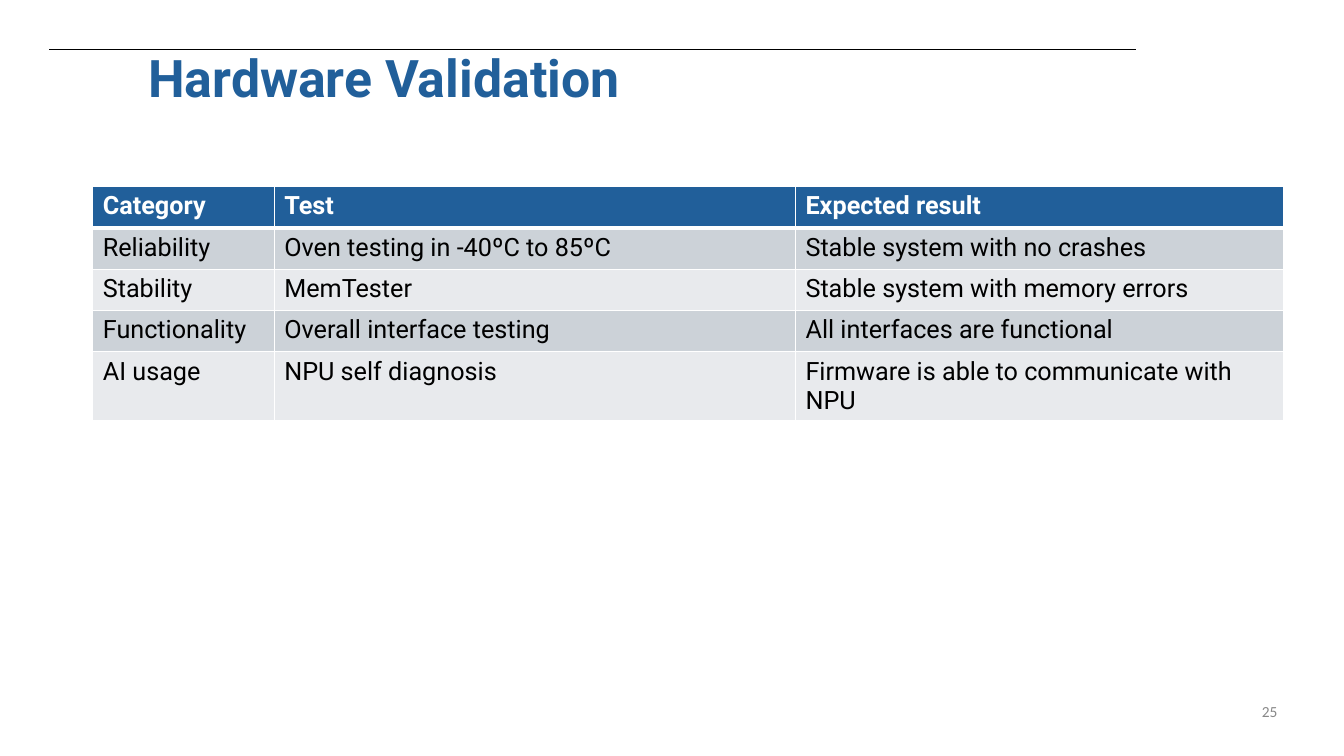
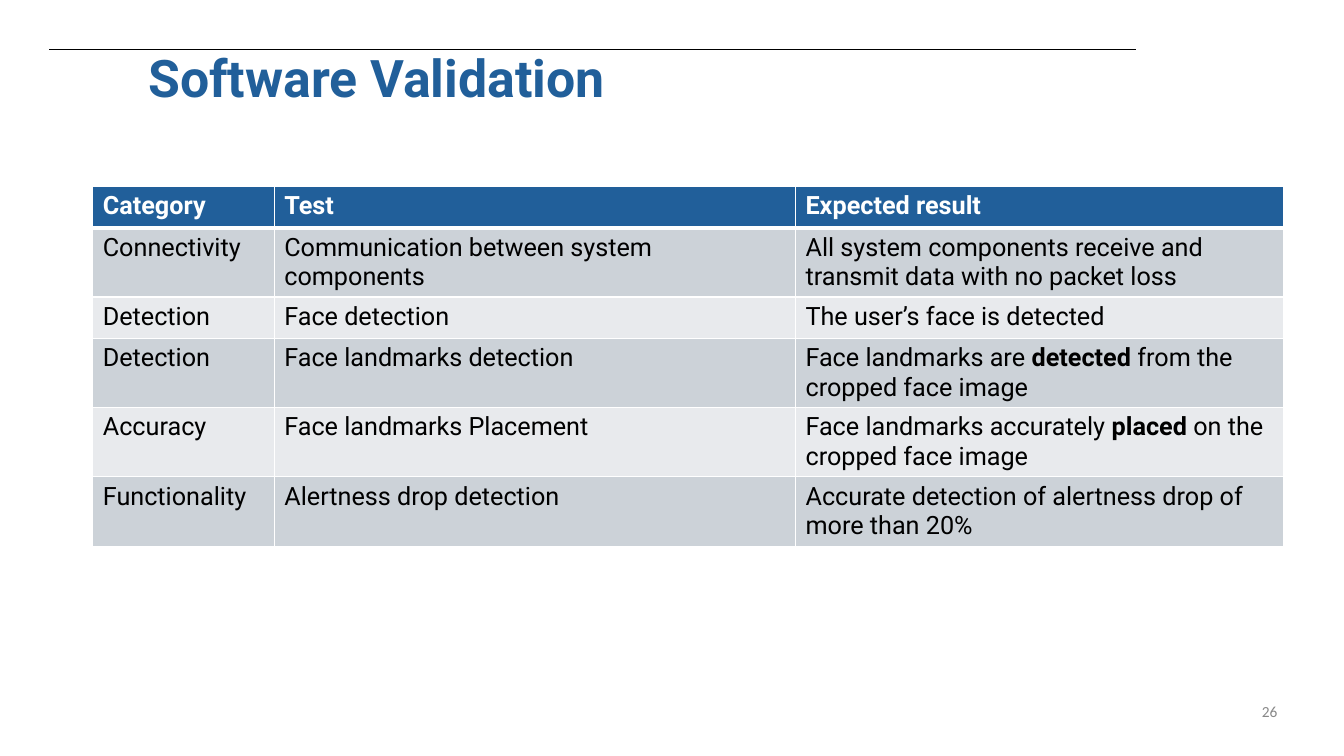
"""Build the hardware and software validation slides."""
from dataclasses import dataclass

from lxml.etree import SubElement
from pptx import Presentation
from pptx.dml.color import RGBColor
from pptx.enum.shapes import MSO_CONNECTOR as Connector
from pptx.enum.text import MSO_ANCHOR as Anchor
from pptx.enum.text import MSO_AUTO_SIZE as AutoSize
from pptx.enum.text import PP_ALIGN as Align
from pptx.oxml.ns import qn
from pptx.slide import Slide
from pptx.table import _Cell as Cell
from pptx.text.text import Font, TextFrame
from pptx.util import Inches, Pt

COLORS = {
    "blue": "215F9A",
    "white": "FFFFFF",
    "black": "000000",
    "grey": "888888",
    "band_dark": "CCD2D8",
    "band_light": "E8EAED",
}
HEADER = ("Category", "Test", "Expected result")
COLUMN_WIDTHS = (1.8, 5.17, 4.84)
ROW_HEIGHT = 0.41
BOLD_MARK = "*"


@dataclass(frozen=True)
class ValidationPage:
    number: int
    title: str
    rows: tuple[tuple[str, str, str], ...]


PAGES = (
    ValidationPage(25, "Hardware Validation", (
        ("Reliability", "Oven testing in -40ºC to 85ºC", "Stable system with no crashes"),
        ("Stability", "MemTester", "Stable system with memory errors"),
        ("Functionality", "Overall interface testing", "All interfaces are functional"),
        ("AI usage", "NPU self diagnosis", "Firmware is able to communicate with NPU"),
    )),
    ValidationPage(26, "Software Validation", (
        ("Connectivity", "Communication between system components",
         "All system components receive and transmit data with no packet loss"),
        ("Detection", "Face detection", "The user’s face is detected"),
        ("Detection", "Face landmarks detection",
         "Face landmarks are *detected* from the cropped face image"),
        ("Accuracy", "Face landmarks Placement",
         "Face landmarks accurately *placed* on the cropped face image"),
        ("Functionality", "Alertness drop detection",
         "Accurate detection of alertness drop of more than 20%"),
    )),
)


def color(name: str) -> RGBColor:
    return RGBColor.from_string(COLORS[name])


def style_font(font: Font, name: str, size: float, fill: str, bold: bool = False) -> None:
    font.name = name
    font.size = Pt(size)
    font.bold = bold
    font.color.rgb = color(fill)


def prepare_frame(frame: TextFrame, left: float = 0) -> None:
    frame.auto_size = AutoSize.NONE
    frame.word_wrap = True
    frame.vertical_anchor = Anchor.TOP
    frame.margin_left = Inches(left)
    frame.margin_top = frame.margin_right = frame.margin_bottom = 0


def add_rule(page: Slide) -> None:
    rule = page.shapes.add_connector(
        Connector.STRAIGHT, Inches(0.49), Inches(0.49), Inches(11.27), Inches(0.49))
    rule.line.color.rgb = color("black")
    rule.line.width = Pt(1.04)
    SubElement(rule._element.spPr, qn("a:effectLst"))


def add_title(page: Slide, text: str) -> None:
    title = page.shapes.title
    title.left, title.top = Inches(0.47), Inches(0.45)
    title.width, title.height = Inches(12.04), Inches(0.62)
    frame = title.text_frame
    frame.text = text
    prepare_frame(frame, left=1)
    para = frame.paragraphs[0]
    para.alignment = Align.LEFT
    style_font(para.runs[0].font, "Roboto", 37, "blue", bold=True)


def add_page_number(page: Slide, number: int) -> None:
    box = page.shapes.add_textbox(Inches(9.6), Inches(6.97), Inches(3.07), Inches(0.19))
    frame = box.text_frame
    frame.text = str(number)
    prepare_frame(frame)
    para = frame.paragraphs[0]
    para.alignment = Align.RIGHT
    style_font(para.runs[0].font, "Calibri", 11, "grey")


def set_borders(cell: Cell, top: float, bottom: float) -> None:
    properties = cell._tc.get_or_add_tcPr()
    for side, width in (("L", 1), ("R", 1), ("T", top), ("B", bottom)):
        line = SubElement(properties, qn(f"a:ln{side}"), w=str(Pt(width)))
        fill = SubElement(line, qn("a:solidFill"))
        SubElement(fill, qn("a:srgbClr"), val=COLORS["white"])


def fill_cell(cell: Cell, text: str, row: int) -> None:
    is_header = row == 0
    set_borders(cell, top=3 if row == 1 else 1, bottom=3 if is_header else 1)
    cell.fill.solid()
    band = "band_dark" if row % 2 else "band_light"
    cell.fill.fore_color.rgb = color("blue" if is_header else band)
    para = cell.text_frame.paragraphs[0]
    for index, part in enumerate(text.split(BOLD_MARK)):
        span = para.add_run()
        span.text = part
        style_font(span.font, "Roboto", 18, "white" if is_header else "black",
                   bold=is_header or index % 2 == 1)


def add_validation_table(page: Slide, rows: tuple[tuple[str, str, str], ...]) -> None:
    lines = (HEADER, *rows)
    table = page.shapes.add_table(
        len(lines), len(HEADER), Inches(0.92), Inches(1.85),
        Inches(sum(COLUMN_WIDTHS)), Inches(ROW_HEIGHT * len(lines))).table
    table.horz_banding = False
    for column, width in zip(table.columns, COLUMN_WIDTHS):
        column.width = Inches(width)
    for row, texts in enumerate(lines):
        table.rows[row].height = Inches(ROW_HEIGHT)
        for column, text in enumerate(texts):
            fill_cell(table.cell(row, column), text, row)


def main() -> None:
    deck = Presentation()
    deck.slide_width, deck.slide_height = Inches(13.33), Inches(7.5)
    title_only = deck.slide_layouts[5]
    for content in PAGES:
        page = deck.slides.add_slide(title_only)
        add_page_number(page, content.number)
        add_rule(page)
        add_title(page, content.title)
        add_validation_table(page, content.rows)
    deck.save("out.pptx")


if __name__ == "__main__":
    main()
